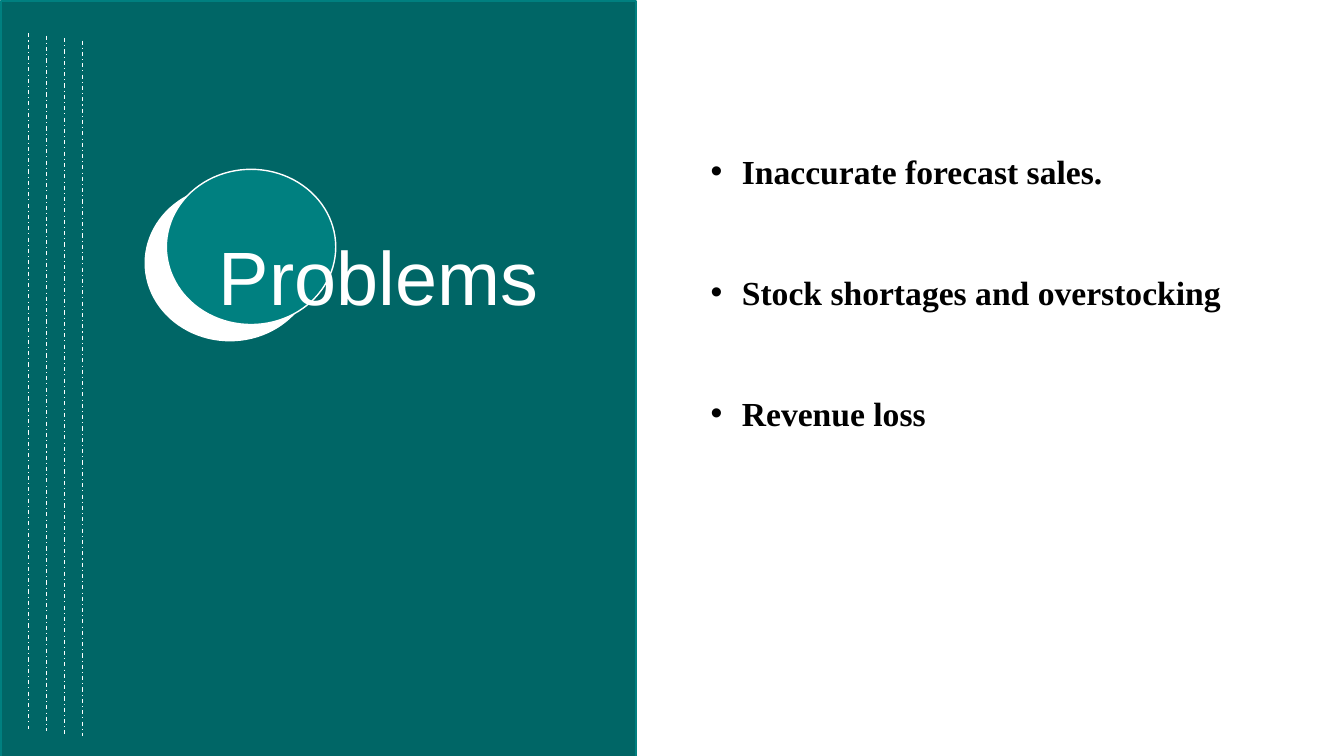
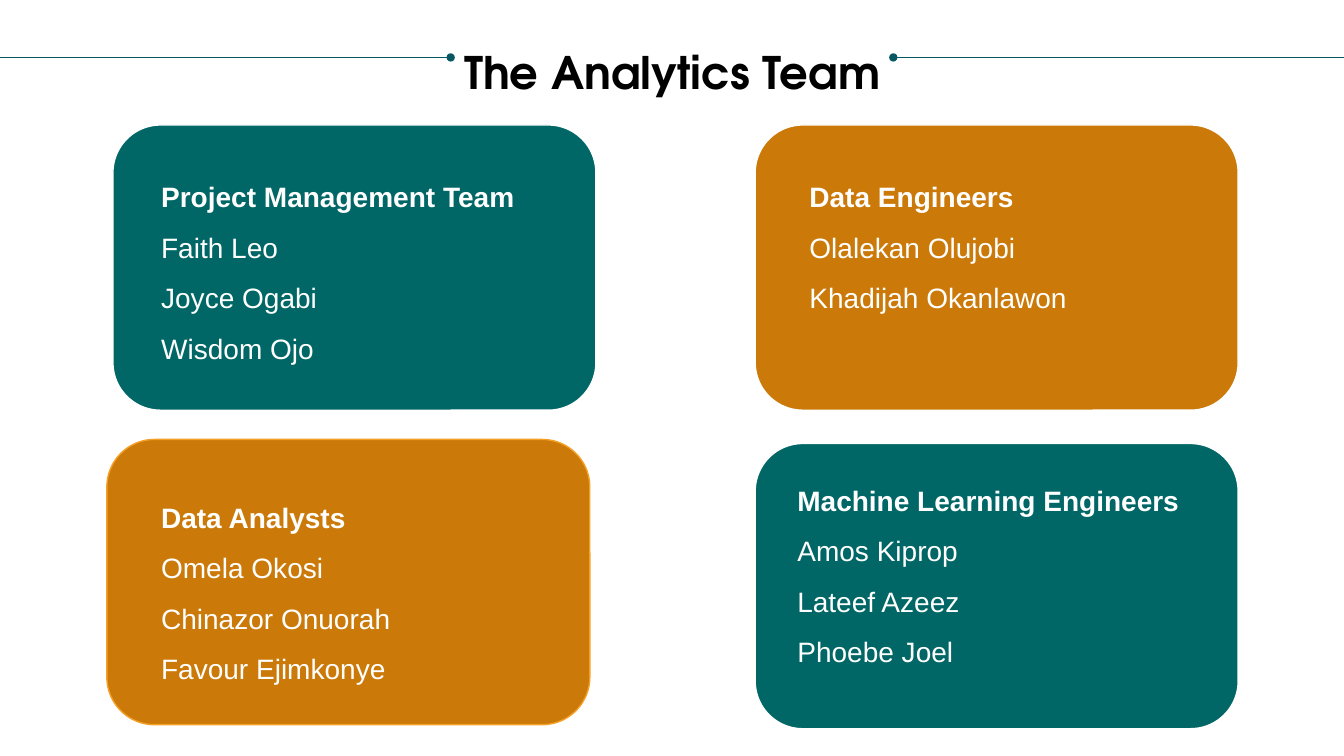
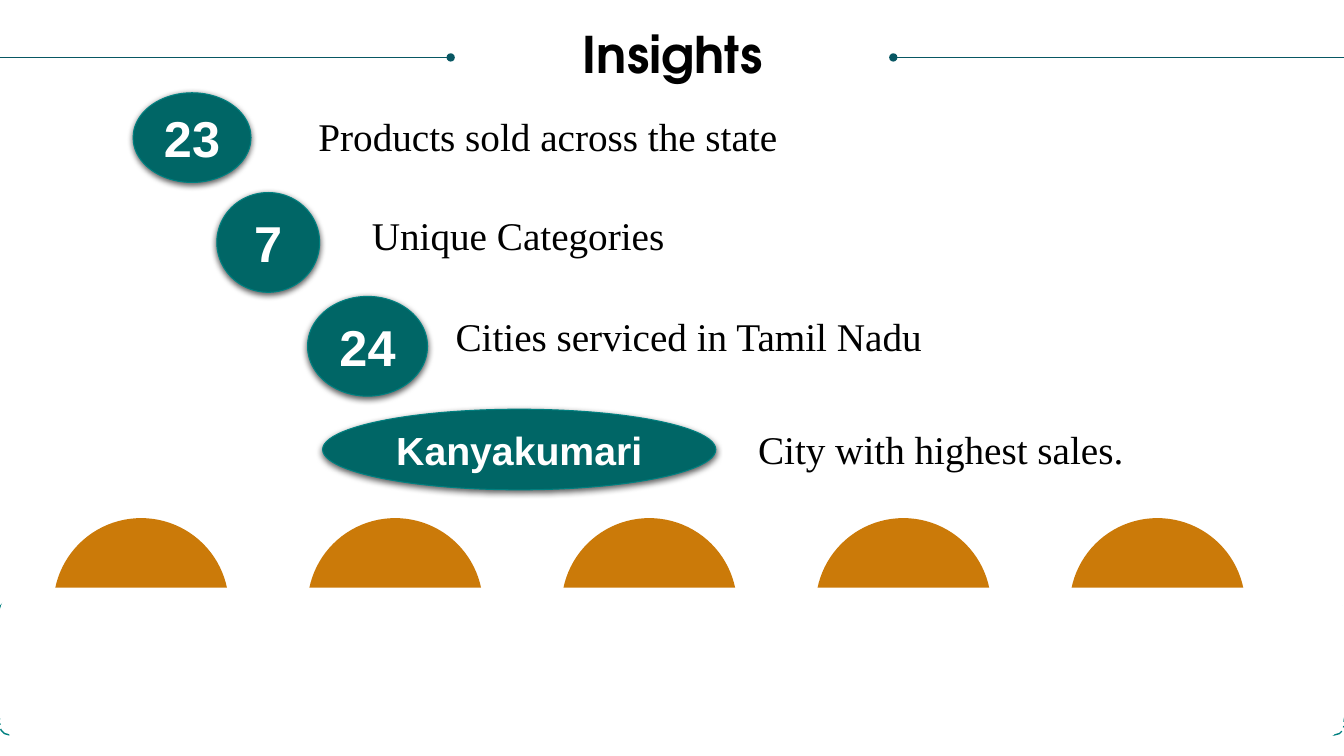
from dataclasses import dataclass

from lxml import etree
from pptx import Presentation
from pptx.dml.color import RGBColor
from pptx.enum.dml import MSO_LINE
from pptx.enum.shapes import MSO_CONNECTOR, MSO_SHAPE
from pptx.enum.text import MSO_ANCHOR, MSO_AUTO_SIZE, PP_ALIGN
from pptx.oxml import parse_xml
from pptx.oxml.ns import nsdecls, qn
from pptx.util import Inches, Pt

# Shared style
COLORS = {
    "teal": "006666",
    "bright_teal": "008080",
    "rule": "085763",
    "orange": "CB7A09",
    "light_orange": "F59F26",
    "white": "FFFFFF",
    "black": "000000",
}
SANS, SERIF, DISPLAY = "Arial", "Times New Roman", "TeX Gyre Adventor"
SLIDE_W, SLIDE_H = 13.33, 7.5
RULE_Y, RULE_LENGTH = 0.57, 4.47


@dataclass(frozen=True)
class Box:
    left: float
    top: float
    width: float
    height: float

    def lengths(self):
        return [Inches(v) for v in (self.left, self.top, self.width, self.height)]


@dataclass(frozen=True)
class TeamCard:
    box: Box
    fill: str
    line: str
    inset_left: float
    inset_top: float
    role: str
    members: tuple[str, ...]
    role_spacing: float = 1.5


@dataclass(frozen=True)
class Insight:
    badge: Box
    value: str
    size: int
    label: Box
    text: str


def rgb(name: str) -> RGBColor:
    return RGBColor.from_string(COLORS[name])


def style_paragraph(paragraph, size, font, color, bold=False,
                    align=PP_ALIGN.LEFT, spacing=None):
    paragraph.font.size = Pt(size)
    paragraph.font.name = font
    paragraph.font.bold = bold
    paragraph.font.color.rgb = rgb(color)
    paragraph.alignment = align
    if spacing:
        paragraph.line_spacing = spacing


def set_insets(frame, left=0.1, top=0.05, right=0.1, bottom=0.05):
    frame.margin_left, frame.margin_top = Inches(left), Inches(top)
    frame.margin_right, frame.margin_bottom = Inches(right), Inches(bottom)


def add_form(slide, kind, box: Box, fill=None, line=None, width=1.0, dash=None):
    form = slide.shapes.add_shape(kind, *box.lengths())
    form.shadow.inherit = False
    if fill:
        form.fill.solid()
        form.fill.fore_color.rgb = rgb(fill)
    else:
        form.fill.background()
    if line:
        form.line.color.rgb = rgb(line)
        form.line.width = Pt(width)
        if dash:
            form.line.dash_style = dash
    else:
        form.line.fill.background()
    return form


def add_line(slide, x1, y1, x2, y2, color, dash=None, oval_end=False):
    line = slide.shapes.add_connector(
        MSO_CONNECTOR.STRAIGHT, Inches(x1), Inches(y1), Inches(x2), Inches(y2))
    line.line.color.rgb = rgb(color)
    line.line.width = Pt(0.75)
    if dash:
        line.line.dash_style = dash
    if oval_end:
        etree.SubElement(line.line._get_or_add_ln(), qn("a:tailEnd"), type="oval")
    etree.SubElement(line._element.spPr, qn("a:effectLst"))


def add_title(slide, text, box: Box, size, font=DISPLAY, color="black",
              bold=True, align=PP_ALIGN.CENTER, spacing=1.0, inset=0.0):
    title = slide.shapes.title
    title.left, title.top, title.width, title.height = box.lengths()
    frame = title.text_frame
    frame.text = text
    frame.word_wrap = True
    frame.auto_size = MSO_AUTO_SIZE.NONE
    frame.vertical_anchor = MSO_ANCHOR.TOP
    set_insets(frame, inset, inset / 2, inset, inset / 2)
    style_paragraph(frame.paragraphs[0], size, font, color, bold, align, spacing)
    # Bring the title in front of the decoration
    slide.shapes._spTree.append(title._element)


def add_title_rules(slide):
    for edge, inner in ((SLIDE_W, SLIDE_W - RULE_LENGTH), (0, RULE_LENGTH)):
        add_line(slide, edge, RULE_Y, inner, RULE_Y, "rule", oval_end=True)


def add_text(slide, box: Box):
    frame = slide.shapes.add_textbox(*box.lengths()).text_frame
    frame.word_wrap = True
    set_insets(frame)
    return frame


def add_bullet(paragraph):
    properties = paragraph._p.get_or_add_pPr()
    properties.set("marL", str(Inches(0.31)))
    properties.set("indent", str(-Inches(0.31)))
    etree.SubElement(properties, qn("a:buFont"), typeface="Arial")
    etree.SubElement(properties, qn("a:buChar"), char="•")


def add_soft_shadow(form):
    effects = form._element.spPr.find(qn("a:effectLst"))
    effects.append(parse_xml(
        f'<a:outerShdw {nsdecls("a")} blurRad="{Pt(4.5)}" dist="{Pt(1.5)}" '
        f'dir="5400000" algn="ctr" rotWithShape="0">'
        f'<a:srgbClr val="{COLORS["black"]}"><a:alpha val="63000"/></a:srgbClr>'
        f'</a:outerShdw>'))


def add_team_card(slide, card: TeamCard):
    form = add_form(slide, MSO_SHAPE.ROUNDED_RECTANGLE, card.box, card.fill, card.line)
    frame = form.text_frame
    frame.word_wrap = True
    frame.vertical_anchor = MSO_ANCHOR.TOP
    set_insets(frame, left=card.inset_left, top=card.inset_top)
    frame.text = "\n".join((card.role, *card.members))
    for i, paragraph in enumerate(frame.paragraphs):
        style_paragraph(paragraph, 20, SANS, "white", bold=i == 0,
                        spacing=card.role_spacing if i == 0 else 1.5)


def add_insight(slide, insight: Insight):
    label = add_text(slide, insight.label)
    label.text = insight.text
    style_paragraph(label.paragraphs[0], 28, SERIF, "black")
    badge = add_form(slide, MSO_SHAPE.OVAL, insight.badge, "teal", "bright_teal", 0.75)
    add_soft_shadow(badge)
    frame = badge.text_frame
    frame.word_wrap = False
    frame.vertical_anchor = MSO_ANCHOR.MIDDLE
    set_insets(frame)
    frame.text = insight.value
    style_paragraph(frame.paragraphs[0], insight.size, SANS, "white", True,
                    PP_ALIGN.CENTER)


def build_problems(slide):
    # Left panel with crescent
    add_form(slide, MSO_SHAPE.RECTANGLE, Box(0.01, 0.01, 6.3, 7.5), "teal", "bright_teal")
    add_form(slide, MSO_SHAPE.OVAL, Box(1.44, 1.84, 1.68, 1.54), "white", "white")
    add_form(slide, MSO_SHAPE.OVAL, Box(1.65, 1.68, 1.68, 1.54), "bright_teal", "white")
    add_title(slide, "Problems", Box(2.17, 1.58, 4.14, 1.18), 54, SANS, "white",
              bold=False, align=PP_ALIGN.LEFT, spacing=1.78)
    # Dashed stripes, each a little lower than the last
    for i in range(4):
        x, top = 0.28 + 0.18 * i, 0.33 + 0.024 * i
        add_line(slide, x, top, x, top + 6.9, "white", MSO_LINE.DASH_DOT)
    # Problem list
    problems = add_text(slide, Box(6.95, 1.25, 5.6, 2.93))
    problems.text = "\n".join(("Inaccurate forecast sales.",
                               "Stock shortages and overstocking", "Revenue loss"))
    for i, paragraph in enumerate(problems.paragraphs):
        style_paragraph(paragraph, 24, SERIF, "black", True, PP_ALIGN.JUSTIFY, 1.5)
        paragraph.space_before = Pt(43.2 if i else 0)
        add_bullet(paragraph)


TEAM = (
    TeamCard(Box(7.49, 1.24, 4.79, 2.83), "orange", "white", 0.4, 0.24,
             "Data Engineers", ("Olalekan Olujobi", "Khadijah Okanlawon")),
    TeamCard(Box(1.12, 1.24, 4.79, 2.83), "teal", "white", 0.34, 0.24,
             "Project Management Team", ("Faith Leo", "Joyce Ogabi", "Wisdom Ojo")),
    TeamCard(Box(1.06, 4.36, 4.79, 2.83), "orange", "light_orange", 0.4, 0.3,
             "Data Analysts", ("Omela Okosi", "Chinazor Onuorah", "Favour Ejimkonye")),
    TeamCard(Box(7.49, 4.4, 4.79, 2.83), "teal", "white", 0.28, 0.26,
             "Machine Learning Engineers",
             ("Amos Kiprop", "Lateef Azeez", "Phoebe Joel"), role_spacing=1.0),
)


def build_team(slide):
    for card in TEAM:
        add_team_card(slide, card)
    add_title_rules(slide)
    add_title(slide, "The Analytics Team", Box(4.55, 0.18, 4.24, 0.7), 32, spacing=1.5)


INSIGHTS = (
    Insight(Box(1.32, 0.92, 1.17, 0.89), "23", 36,
            Box(3.06, 1.06, 5.57, 0.51), "Products sold across the state"),
    Insight(Box(3.2, 4.06, 3.9, 0.8), "Kanyakumari", 28,
            Box(7.42, 4.17, 4.32, 0.57), "City with highest sales."),
    Insight(Box(2.15, 1.91, 1.02, 0.99), "7", 36,
            Box(3.59, 2.05, 3.47, 0.49), "Unique Categories"),
    Insight(Box(3.05, 2.94, 1.19, 0.99), "24", 36,
            Box(4.42, 3.05, 5.31, 0.45), "Cities serviced in Tamil Nadu"),
)


def build_insights(slide):
    # Row of domes, cut off by the white band
    for i in range(5):
        add_form(slide, MSO_SHAPE.OVAL, Box(0.53 + 2.52 * i, 5.14, 1.74, 1.74), "orange")
    add_title_rules(slide)
    for left, top in ((0, 6.75), (-0.03, 6.49), (-0.06, 6.23), (-0.01, 5.97)):
        add_form(slide, MSO_SHAPE.ROUNDED_RECTANGLE, Box(left, top, SLIDE_W, 0.54),
                 line="bright_teal", dash=MSO_LINE.LONG_DASH_DOT)
    add_form(slide, MSO_SHAPE.ROUNDED_RECTANGLE, Box(0, 5.83, SLIDE_W, 1.51), "white")
    # Figures and their labels
    for insight in INSIGHTS:
        add_insight(slide, insight)
    add_title(slide, "Insights", Box(4.59, 0.18, 4.16, 0.71), 36, inset=0.1)


def main():
    deck = Presentation()
    deck.slide_width, deck.slide_height = Inches(SLIDE_W), Inches(SLIDE_H)
    title_only = deck.slide_layouts[5]
    for build in (build_problems, build_team, build_insights):
        build(deck.slides.add_slide(title_only))
    deck.save("out.pptx")


if __name__ == "__main__":
    main()
